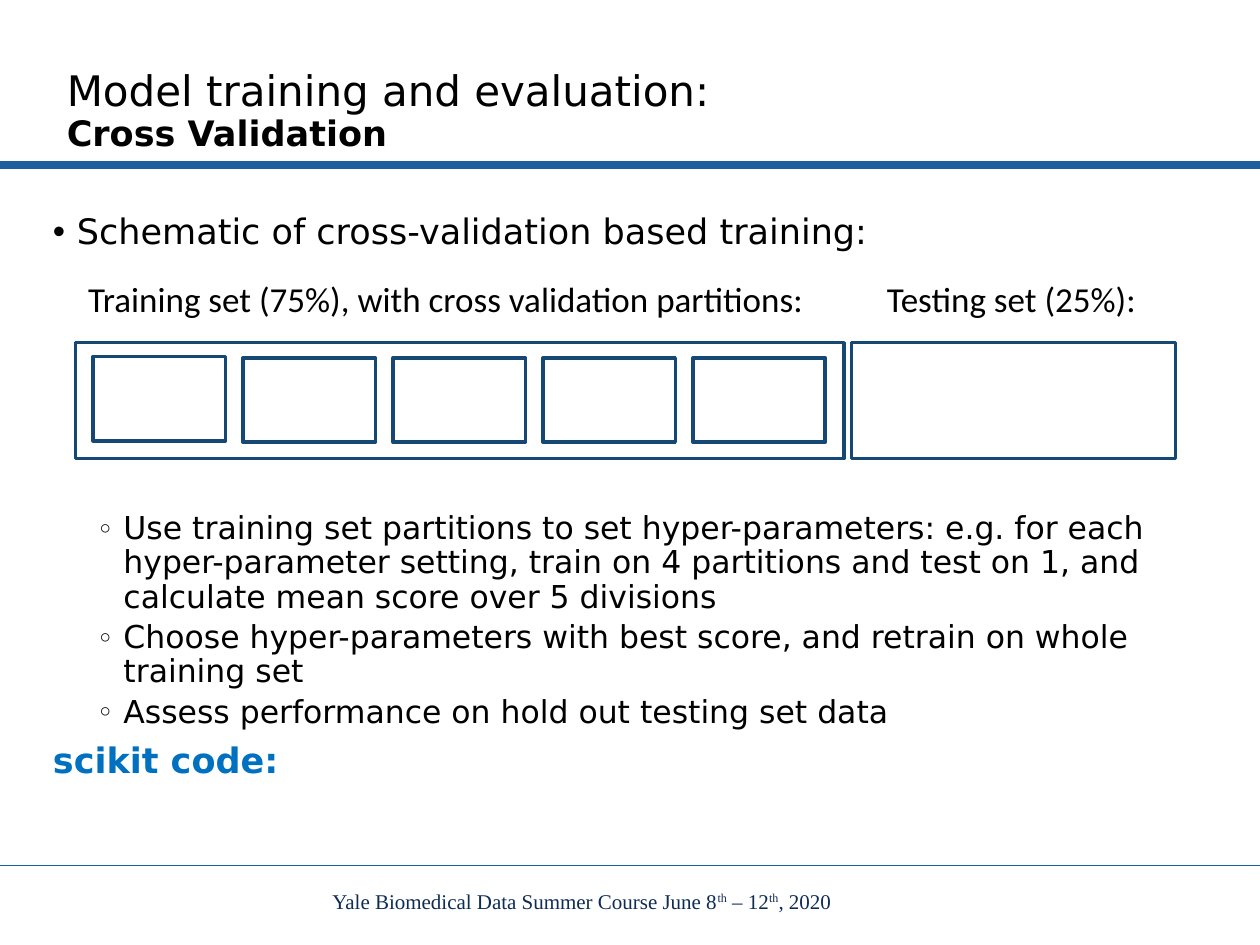
from pptx import Presentation
from pptx import util as u
from pptx.dml.color import RGBColor
from pptx.enum import shapes, text
from pptx.oxml.ns import qn
from lxml import etree

HUES = {"rule": "1C619E", "box": "154875", "text": "000000",
        "code": "0070C0", "foot": "0E2C54"}
SANS = "DejaVu Sans"


def hue(name):
    return RGBColor.from_string(HUES[name])


def style(font, size, name=SANS, color="text", bold=None):
    font.size = u.Pt(size)
    font.name = name
    font.color.rgb = hue(color)
    font.bold = bold


def place(shape, left, top, width, height):
    shape.left, shape.top = u.Inches(left), u.Inches(top)
    shape.width, shape.height = u.Inches(width), u.Inches(height)


def rule(slide, top, weight):
    """Draw a line across the whole slide."""
    y = u.Inches(top)
    line = slide.shapes.add_connector(
        shapes.MSO_CONNECTOR.STRAIGHT, 0, y, u.Inches(10), y)
    line.line.color.rgb = hue("rule")
    line.line.width = u.Pt(weight)
    etree.SubElement(line._element.spPr, qn("a:effectLst"))


def box(slide, left, top, width, height):
    rect = slide.shapes.add_shape(
        shapes.MSO_SHAPE.RECTANGLE, *map(u.Inches, (left, top, width, height)))
    rect.fill.background()
    rect.line.color.rgb = hue("box")
    rect.line.width = u.Pt(2)
    rect.shadow.inherit = False


def label(slide, left, top, width, height):
    """Add an empty text box and return its first paragraph."""
    frame = slide.shapes.add_textbox(
        *map(u.Inches, (left, top, width, height))).text_frame
    frame.word_wrap = True
    return frame.paragraphs[0]


def bullet(para, mark, left, hang, size=None):
    """Set indents in inches, with a mark or none."""
    props = para._p.get_or_add_pPr()
    props.set("marL", str(u.Inches(left)))
    props.set("indent", str(u.Inches(-hang)))
    if size:
        etree.SubElement(props, qn("a:buSzPct")).set("val", str(size * 1000))
    if mark:
        etree.SubElement(props, qn("a:buChar")).set("char", mark)
    else:
        etree.SubElement(props, qn("a:buNone"))


def head(slide):
    title = slide.shapes.title
    place(title, 0.43, 0.28, 9.2, 0.99)
    frame = title.text_frame
    frame.auto_size = text.MSO_AUTO_SIZE.NONE
    frame.vertical_anchor = text.MSO_ANCHOR.BOTTOM
    para = frame.paragraphs[0]
    para.alignment = text.PP_ALIGN.LEFT
    para.line_spacing = 0.9
    first = para.add_run()
    first.text = "Model training and evaluation:"
    style(first.font, 24)
    para.add_line_break()
    second = para.add_run()
    second.text = "Cross Validation"
    style(second.font, 20, bold=True)


def body(slide):
    holder = slide.placeholders[1]
    place(holder, 0.32, 1.65, 9.15, 4.76)
    frame = holder.text_frame
    frame.auto_size = text.MSO_AUTO_SIZE.NONE
    # wording, level, space before
    items = [
        ("Schematic of cross-validation based training:", 0, 0),
        ("Use training set partitions to set hyper-parameters: e.g. for each "
         "hyper-parameter setting, train on 4 partitions and test on 1, and "
         "calculate mean score over 5 divisions", 1, 149),
        ("Choose hyper-parameters with best score, and retrain on whole "
         "training set", 1, 3.8),
        ("Assess performance on hold out testing set data", 1, 3.8),
        ("scikit code:", 0, 7.5),
    ]
    for i, (words, level, gap) in enumerate(items):
        para = frame.add_paragraph() if i else frame.paragraphs[0]
        para.text = words
        para.level = level
        para.line_spacing = 0.9
        para.space_before = u.Pt(gap)
        if level:
            bullet(para, "○", 0.56, 0.19, 60)
            style(para.font, 18)
        elif i:
            bullet(para, None, 0, 0)
            style(para.font, 20, color="code", bold=True)
        else:
            bullet(para, "•", 0.19, 0.19)
            style(para.font, 20)


def scheme(slide):
    """Draw the data split with its five partitions."""
    for left, width in ((0.6, 6.1), (6.76, 2.57)):
        box(slide, left, 2.72, width, 0.92)
    for i in range(5):
        box(slide, 0.74 + 1.19 * i, 2.84 if i else 2.83, 1.05, 0.67)
    for words, left, width in (
            ("Training set (75%), with cross validation partitions:", 0.6, 6.21),
            ("Testing set (25%):", 6.94, 2.21)):
        para = label(slide, left, 2.15, width, 0.44)
        para.text = words
        style(para.font, 20, "Calibri")


def foot(slide):
    para = label(slide, 2.54, 7, 4.4, 0.51)
    style(para.font, 12, "Times New Roman", "foot")
    for words in ("Yale Biomedical Data Summer Course June 8", "th",
                  " – 12", "th", ", 2020"):
        run = para.add_run()
        run.text = words
        if words == "th":
            run._r.get_or_add_rPr().set("baseline", "30000")


def main():
    deck = Presentation()
    deck.slide_width, deck.slide_height = u.Inches(10), u.Inches(7.5)
    slide = deck.slides.add_slide(deck.slide_layouts[1])
    rule(slide, 1.31, 5)
    rule(slide, 6.87, 1)
    head(slide)
    body(slide)
    scheme(slide)
    foot(slide)
    deck.save("out.pptx")


if __name__ == "__main__":
    main()
